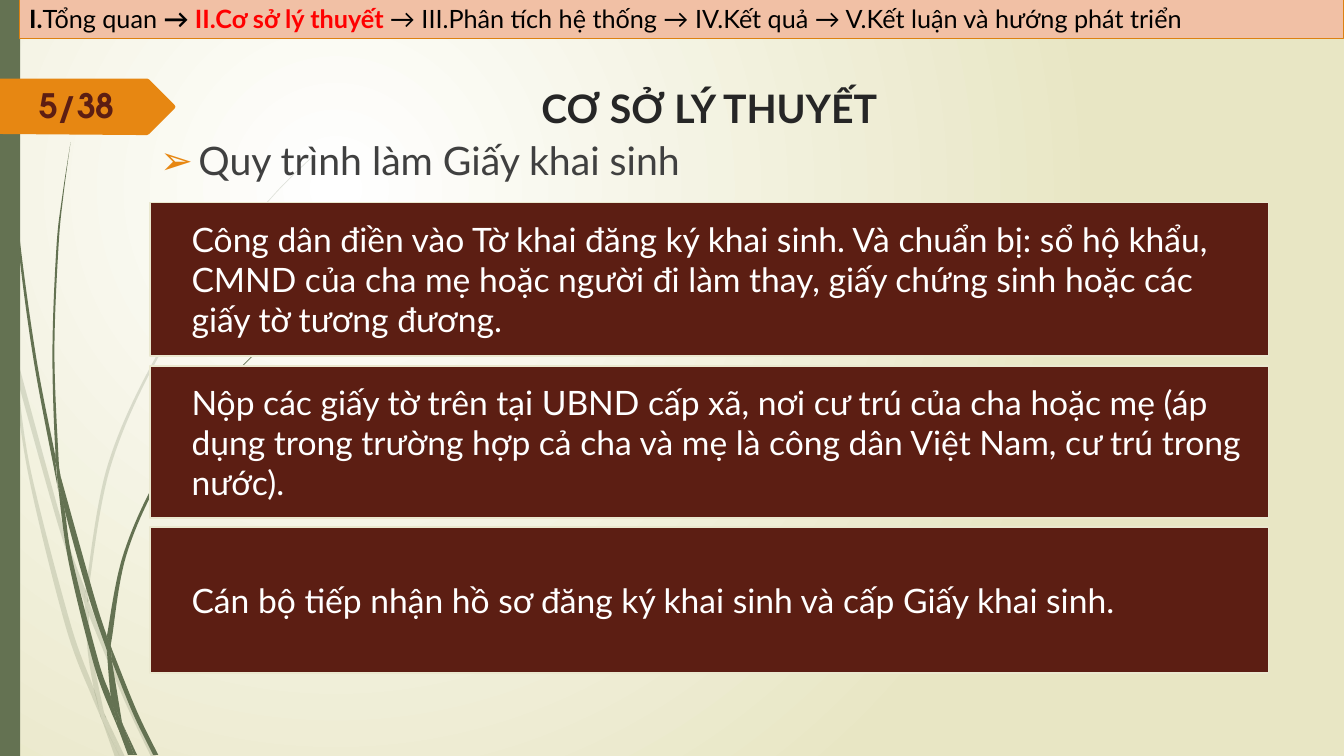
"""Builds the slide on the birth certificate procedure."""
from typing import Any, NamedTuple

from lxml.etree import SubElement
from pptx import Presentation
from pptx.dml.color import RGBColor
from pptx.enum.shapes import MSO_SHAPE
from pptx.enum.text import MSO_ANCHOR, PP_ALIGN
from pptx.oxml import parse_xml
from pptx.oxml.ns import nsdecls, qn
from pptx.util import Inches, Pt

COLUMNS, ROWS = 1333, 750
WIDTH, HEIGHT = Inches(13.33), Inches(7.5)
COLORS = {
    "paper": "FFFFFF", "cream": "E8E6C4", "grass": "647252", "tag": "E78712",
    "wine": "5C1E13", "card_edge": "EAE8CF", "bar": "F1C0A5", "bar_edge": "DD8111",
    "heading": "262626", "body": "404040", "black": "000000", "current": "FF0000",
}
Points = list[tuple[float, float]]


class Area(NamedTuple):
    column: float
    row: float
    columns: float
    rows: float


class Run(NamedTuple):
    text: str
    size: int
    color: str
    bold: bool = False
    font: str = "Lato"


class Wisp(NamedTuple):
    outward: Points
    back: Points


class Step(NamedTuple):
    row: int
    rows: int
    text: str


PALE_WISPS = [
    Wisp([(11, 350), (9, 322), (0, 282)], [(0, 299), (10, 344), (11, 350)]),
    Wisp([(14, 345), (62, 520), (85, 586)], [(84, 599), (58, 522), (17, 376)]),
    Wisp([(88, 596), (92, 607), (127, 692), (155, 751)], [(150, 751), (123, 694), (88, 610)]),
    Wisp([(105, 711), (124, 751)], [(119, 751), (105, 711)]),
    Wisp([(11, 350), (17, 376), (31, 469), (70, 619), (93, 683), (99, 707), (101, 714)],
         [(92, 693), (65, 621), (28, 470), (11, 350)]),
    Wisp([(84, 599), (88, 608), (88, 610), (91, 646), (103, 706), (105, 711)],
         [(96, 692), (93, 683), (87, 646), (84, 599)]),
    Wisp([(88, 596), (88, 584), (110, 462), (160, 349), (229, 245), (268, 198), (290, 175), (312, 154)],
         [(312, 153), (289, 175), (268, 197), (228, 244), (158, 348), (107, 461), (85, 584), (85, 586)]),
    Wisp([(101, 714), (119, 751)], [(114, 751), (101, 714)]),
    Wisp([(88, 608), (88, 610), (88, 596)], [(85, 586), (84, 599)]),
    Wisp([(93, 683), (99, 707), (101, 714), (119, 751)], [(105, 711), (96, 692), (93, 683)]),
]
DARK_WISPS = [
    Wisp([(3, 0), (4, 48), (7, 110), (17, 233), (33, 355), (56, 477), (57, 481)],
         [(55, 457), (55, 453), (36, 355), (19, 232), (8, 109), (5, 48), (4, 0)]),
    Wisp([(60, 472), (93, 590), (106, 631), (106, 633)], [(106, 645), (88, 592), (64, 505), (60, 472)]),
    Wisp([(110, 641), (113, 649), (136, 706), (157, 749)], [(152, 749), (132, 708), (111, 656)]),
    Wisp([(57, 477), (64, 505), (72, 556), (98, 657), (110, 691), (116, 717), (117, 722)],
         [(111, 708), (93, 659), (68, 557), (57, 477)]),
    Wisp([(60, 472), (58, 453), (54, 349), (58, 245), (63, 193), (70, 141)],
         [(70, 141), (62, 193), (56, 245), (52, 349), (55, 449), (60, 472)]),
    Wisp([(122, 719), (136, 749)], [(133, 749), (122, 719)]),
    Wisp([(55, 449), (60, 472), (64, 505)], [(57, 477), (55, 453)]),
    Wisp([(110, 641), (111, 633), (125, 552), (158, 476), (205, 406), (231, 374), (245, 359), (261, 344)],
         [(260, 344), (245, 358), (231, 373), (204, 405), (156, 474), (122, 551), (106, 631)]),
    Wisp([(117, 722), (131, 749)], [(127, 749), (117, 722)]),
    Wisp([(106, 645), (109, 651), (111, 656), (121, 716), (122, 719)],
         [(116, 706), (110, 691), (106, 645)]),
    Wisp([(106, 631), (110, 641), (111, 656)], [(109, 651), (106, 645), (106, 633)]),
    Wisp([(110, 691), (116, 706), (122, 719), (133, 749)], [(130, 749), (117, 722), (116, 717)]),
]
TAG_OUTLINE: Points = [(173, 108), (148, 133), (146, 134), (136, 134), (0, 133), (0, 78),
                       (136, 78), (146, 78), (148, 79), (173, 104), (174, 106)]
STEPS = [
    Step(201, 152, "Công dân điền vào Tờ khai đăng ký khai sinh. Và chuẩn bị: sổ hộ khẩu, CMND của "
                   "cha mẹ hoặc người đi làm thay, giấy chứng sinh hoặc các giấy tờ tương đương."),
    Step(363, 151, "Nộp các giấy tờ trên tại UBND cấp xã, nơi cư trú của cha hoặc mẹ (áp dụng trong "
                   "trường hợp cả cha và mẹ là công dân Việt Nam, cư trú trong nước)."),
    Step(523, 145, "Cán bộ tiếp nhận hồ sơ đăng ký khai sinh và cấp Giấy khai sinh."),
]
BREADCRUMB = [
    Run("I.", 18, "black", True),
    Run("Tổng quan ", 18, "black"),
    Run("→ ", 18, "black", True),
    Run("II.Cơ sở lý thuyết ", 18, "current", True),
    Run("→ III.Phân tích hệ thống → IV.Kết quả → V.Kết luận và hướng phát triển", 18, "black"),
]


def rgb(color: str) -> RGBColor:
    return RGBColor.from_string(COLORS[color])


def across(columns: float) -> int:
    return round(columns * WIDTH / COLUMNS)


def down(rows: float) -> int:
    return round(rows * HEIGHT / ROWS)


def box(area: Area) -> tuple[int, int, int, int]:
    return across(area.column), down(area.row), across(area.columns), down(area.rows)


def set_all(target: Any, formats: dict[str, Any]) -> None:
    for attribute, value in formats.items():
        setattr(target, attribute, value)


def write(holder: Any, runs: list[Run], align: PP_ALIGN = PP_ALIGN.LEFT, **frame_formats: Any) -> Any:
    frame = holder.text_frame
    set_all(frame, {"word_wrap": True, "vertical_anchor": MSO_ANCHOR.TOP} | frame_formats)
    paragraph = frame.paragraphs[0]
    paragraph.alignment = align
    for part in runs:
        run = paragraph.add_run()
        run.text = part.text
        set_all(run.font, {"size": Pt(part.size), "name": part.font, "bold": part.bold})
        run.font.color.rgb = rgb(part.color)
    return paragraph


def paint(shape: Any, fill: str, edge: str | None = None, width: float = 0) -> Any:
    shape.shadow.inherit = False
    shape.fill.solid()
    shape.fill.fore_color.rgb = rgb(fill)
    if edge:
        shape.line.color.rgb = rgb(edge)
        shape.line.width = Pt(width)
    else:
        shape.line.fill.background()
    return shape


def draw_outline(slide: Any, outline: Points, fill: str) -> Any:
    corners = [(across(x), down(y)) for x, y in outline]
    builder = slide.shapes.build_freeform(*corners[0], scale=1.0)
    builder.add_line_segments(corners[1:], close=False)
    shape = builder.convert_to_shape()
    SubElement(shape._element.find(".//" + qn("a:path")), qn("a:close"))
    return paint(shape, fill)


def bend(blade: Any, wisp: Wisp) -> None:
    segments = blade._element.findall(".//" + qn("a:lnTo"))
    for edge, first in ((wisp.outward, 0), (wisp.back, len(wisp.outward))):
        padded = [edge[0], *edge, edge[-1]]
        for index, (a, b, c, d) in enumerate(zip(padded, padded[1:], padded[2:], padded[3:])):
            leave = (b[0] + (c[0] - a[0]) / 6, b[1] + (c[1] - a[1]) / 6)
            arrive = (c[0] - (d[0] - b[0]) / 6, c[1] - (d[1] - b[1]) / 6)
            segment = segments[first + index]
            curve = parse_xml(f'<a:cubicBezTo {nsdecls("a")}/>')
            for x, y in (leave, arrive, c):
                SubElement(curve, qn("a:pt"), x=str(across(x) - blade.left), y=str(down(y) - blade.top))
            segment.getparent().replace(segment, curve)


def draw_rectangle(slide: Any, area: Area, fill: str, edge: str | None = None, width: float = 0) -> Any:
    return paint(slide.shapes.add_shape(MSO_SHAPE.RECTANGLE, *box(area)), fill, edge, width)


def draw_background(slide: Any) -> None:
    fill = slide.background.fill
    fill.gradient()
    for stop, color, position in zip(fill.gradient_stops, ("paper", "cream"), (0, 1)):
        stop.color.rgb = rgb(color)
        stop.position = position
    gradient = slide.background._cSld.find(".//" + qn("a:gradFill"))
    gradient.replace(gradient.find(qn("a:lin")), parse_xml(
        f'<a:path {nsdecls("a")} path="circle">'
        '<a:fillToRect l="50000" t="50000" r="100000" b="100000"/></a:path>'))


def draw_grass(slide: Any) -> None:
    for wisps, opacity in ((PALE_WISPS, 20000), (DARK_WISPS, 100000)):
        for wisp in wisps:
            blade = draw_outline(slide, wisp.outward + wisp.back, "grass")
            bend(blade, wisp)
            if opacity < 100000:
                color = blade._element.spPr.find(qn("a:solidFill"))[0]
                SubElement(color, qn("a:alpha"), val=str(opacity))
    draw_rectangle(slide, Area(0, 0, 20, ROWS), "grass")


def draw_subject(slide: Any) -> None:
    subject = slide.shapes.add_textbox(*box(Area(149, 130, 1109, 479)))
    paragraph = write(subject, [Run("Quy trình làm Giấy khai sinh", 28, "body")], PP_ALIGN.JUSTIFY)
    paragraph.space_before = Pt(10)
    properties = paragraph._p.get_or_add_pPr()
    for name, columns in (("marL", 38), ("indent", -38)):
        properties.set(name, str(across(columns)))
    SubElement(SubElement(properties, qn("a:buClr")), qn("a:srgbClr"), val=COLORS["tag"])
    SubElement(properties, qn("a:buFont"), typeface="Lato")
    SubElement(properties, qn("a:buChar"), char="➢")


def main() -> None:
    deck = Presentation()
    set_all(deck, {"slide_width": WIDTH, "slide_height": HEIGHT})
    slide = deck.slides.add_slide(deck.slide_layouts[5])
    draw_background(slide)
    draw_grass(slide)
    draw_outline(slide, TAG_OUTLINE, "tag")
    page = slide.shapes.add_textbox(*box(Area(29, 79, 120, 50)))
    write(page, [Run("5/38", 24, "wine", True, "TeX Gyre Adventor")])
    draw_subject(slide)
    heading = slide.shapes.title
    set_all(heading, dict(zip(("left", "top", "width", "height"), box(Area(216, 79, 975, 88)))))
    write(heading, [Run("CƠ SỞ LÝ THUYẾT", 28, "heading", True)], PP_ALIGN.CENTER)
    bar = draw_rectangle(slide, Area(19, -2, 1314, 40), "bar", "bar_edge", 0.75)
    write(bar, BREADCRUMB, vertical_anchor=MSO_ANCHOR.MIDDLE)
    for step in STEPS:
        card = draw_rectangle(slide, Area(149, step.row, 1109, step.rows), "wine", "card_edge", 1.25)
        write(card, [Run(step.text, 24, "paper")], vertical_anchor=MSO_ANCHOR.MIDDLE,
              margin_left=across(41), margin_right=across(10), margin_top=down(8), margin_bottom=down(8))
    deck.save("out.pptx")


if __name__ == "__main__":
    main()
